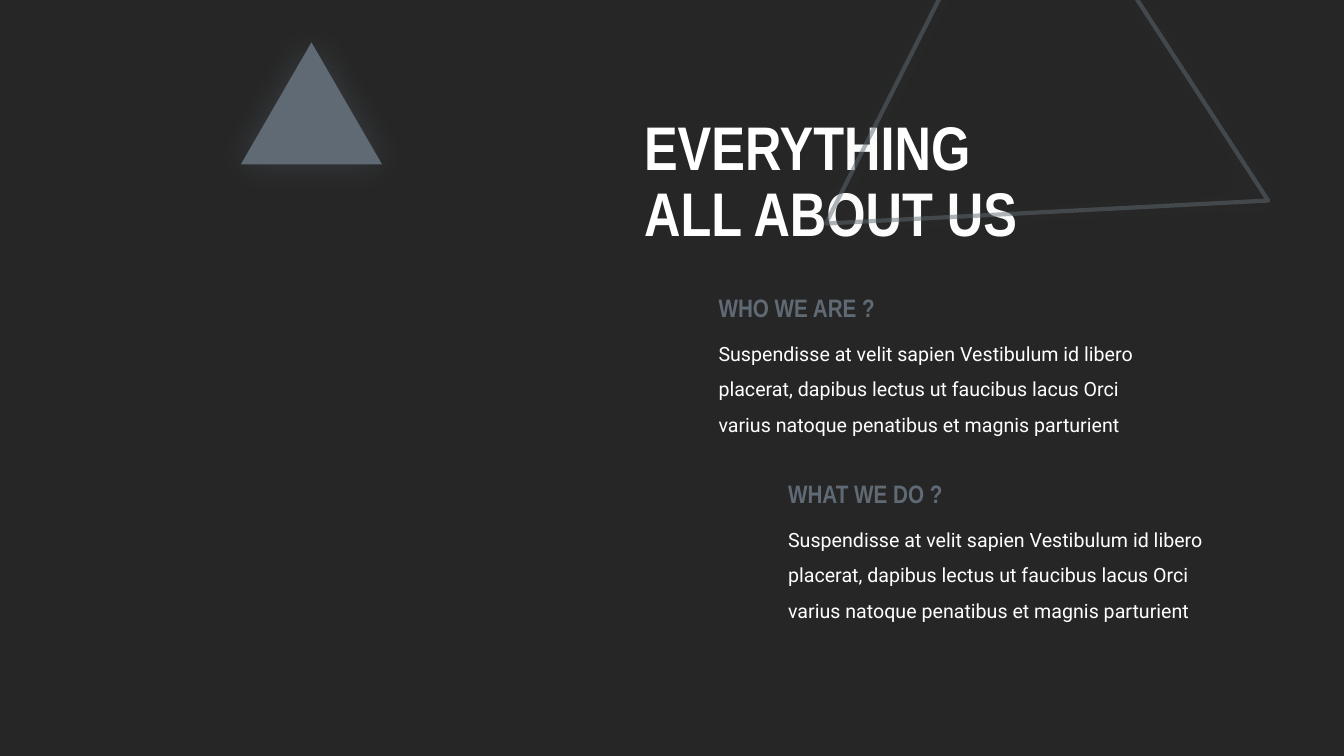
from dataclasses import dataclass

import pptx
import pptx.dml.color
import pptx.enum.shapes
import pptx.enum.text
import pptx.oxml
import pptx.oxml.ns
import pptx.util
from pptx.util import Pt

BACKGROUND = "262626"
WHITE = "FFFFFF"
SLATE = "606A74"
HEADING_FONT = "Arial Narrow"
BODY_FONT = "Roboto"
BODY_OFFSET = 27
BODY_TEXT = (
    "Suspendisse at velit sapien Vestibulum id libero placerat, dapibus lectus "
    "ut faucibus lacus Orci varius natoque penatibus et magnis parturient"
)


@dataclass
class Box:
    left: float
    top: float
    width: float
    height: float

    def lengths(self) -> tuple:
        return Pt(self.left), Pt(self.top), Pt(self.width), Pt(self.height)


@dataclass
class TextStyle:
    font: str
    size: float
    color: str
    bold: bool = False
    line_spacing: float = 1.0


@dataclass
class Triangle:
    box: Box
    rotation: float = 0
    outlined: bool = False


@dataclass
class Section:
    heading: str
    left: float
    top: float


TITLE_STYLE = TextStyle(HEADING_FONT, 44, WHITE, True, 0.9)
HEADING_STYLE = TextStyle(HEADING_FONT, 18, SLATE, True)
BODY_STYLE = TextStyle(BODY_FONT, 14, WHITE, line_spacing=1.5)

TRIANGLES = [
    Triangle(Box(545.76, -51.84, 317.52, 273.6), rotation=236.9, outlined=True),
    Triangle(Box(172.08, 30.24, 100.8, 87.12)),
]
SECTIONS = [
    Section("WHO WE ARE ?", 506.16, 205.4),
    Section("WHAT WE DO ?", 555.84, 338.2),
]


def rgb(color: str) -> pptx.dml.color.RGBColor:
    return pptx.dml.color.RGBColor.from_string(color)


def write_text(shape, text: str, style: TextStyle) -> None:
    frame = shape.text_frame
    frame.word_wrap = True
    frame.text = text
    paragraph = frame.paragraphs[0]
    paragraph.alignment = pptx.enum.text.PP_ALIGN.LEFT
    paragraph.line_spacing = style.line_spacing
    for run in paragraph.runs:
        run.font.name = style.font
        run.font.size = Pt(style.size)
        run.font.bold = style.bold
        run.font.color.rgb = rgb(style.color)


def add_text(slide, box: Box, text: str, style: TextStyle) -> None:
    shape = slide.shapes.add_textbox(*box.lengths())
    write_text(shape, text, style)
    shape.text_frame.auto_size = pptx.enum.text.MSO_AUTO_SIZE.SHAPE_TO_FIT_TEXT


def add_title(slide, box: Box, text: str) -> None:
    title = slide.shapes.title
    title.left, title.top, title.width, title.height = box.lengths()
    write_text(title, text, TITLE_STYLE)
    title.text_frame.auto_size = pptx.enum.text.MSO_AUTO_SIZE.NONE
    title.text_frame.vertical_anchor = pptx.enum.text.MSO_ANCHOR.MIDDLE


def add_glow_shadow(shape) -> None:
    shape.shadow.inherit = False
    effects = shape._element.spPr.find(pptx.oxml.ns.qn("a:effectLst"))
    effects.append(pptx.oxml.parse_xml(
        f'<a:outerShdw {pptx.oxml.ns.nsdecls("a")} blurRad="{Pt(25)}" dist="0" '
        f'dir="0" algn="ctr" rotWithShape="0"><a:srgbClr val="{SLATE}">'
        '<a:alpha val="35000"/></a:srgbClr></a:outerShdw>'
    ))


def add_triangle(slide, triangle: Triangle) -> None:
    shape = slide.shapes.add_shape(
        pptx.enum.shapes.MSO_SHAPE.ISOSCELES_TRIANGLE, *triangle.box.lengths()
    )
    shape.rotation = triangle.rotation
    if triangle.outlined:
        shape.fill.background()
        shape.line.width = Pt(3)
        shape.line.color.rgb = rgb(SLATE)
        # Half-transparent outline
        color = shape.line._ln.find(".//" + pptx.oxml.ns.qn("a:srgbClr"))
        color.append(pptx.oxml.parse_xml(
            f'<a:alpha {pptx.oxml.ns.nsdecls("a")} val="50000"/>'
        ))
    else:
        shape.fill.solid()
        shape.fill.fore_color.rgb = rgb(SLATE)
        shape.line.fill.background()
    add_glow_shadow(shape)


def add_section(slide, section: Section) -> None:
    body_box = Box(section.left, section.top + BODY_OFFSET, 324.72, 80.64)
    add_text(slide, body_box, BODY_TEXT, BODY_STYLE)
    heading_box = Box(section.left, section.top, 176.4, 28.8)
    add_text(slide, heading_box, section.heading, HEADING_STYLE)


def main() -> None:
    presentation = pptx.Presentation()
    presentation.slide_width = Pt(960)
    presentation.slide_height = Pt(540)
    title_only = presentation.slide_layouts.get_by_name("Title Only")
    slide = presentation.slides.add_slide(title_only)

    # Background
    slide.background.fill.solid()
    slide.background.fill.fore_color.rgb = rgb(BACKGROUND)

    # Title, with a line break inside one paragraph
    add_title(slide, Box(452.88, 74.16, 404.64, 113.76), "EVERYTHING\vALL ABOUT US")

    # Decorative triangles
    for triangle in TRIANGLES:
        add_triangle(slide, triangle)

    # Text sections
    for section in SECTIONS:
        add_section(slide, section)

    presentation.save("out.pptx")


if __name__ == "__main__":
    main()
